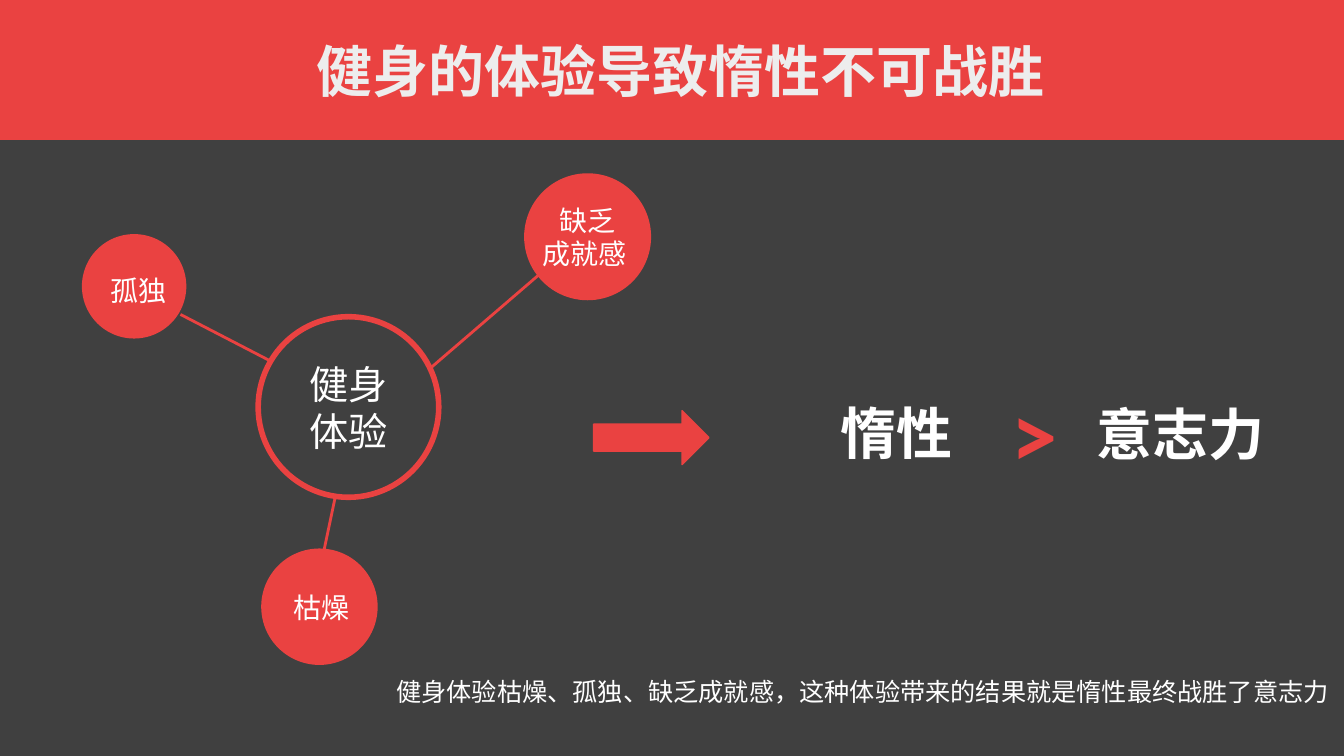
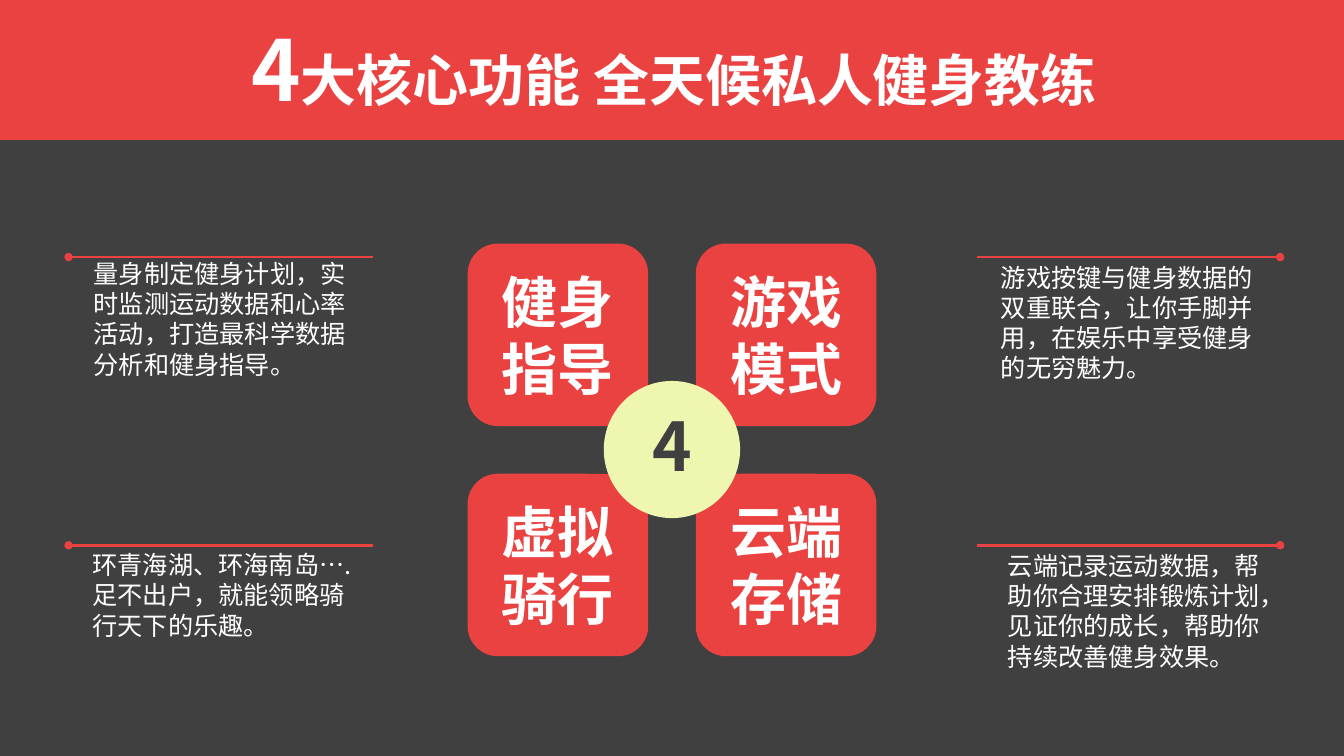
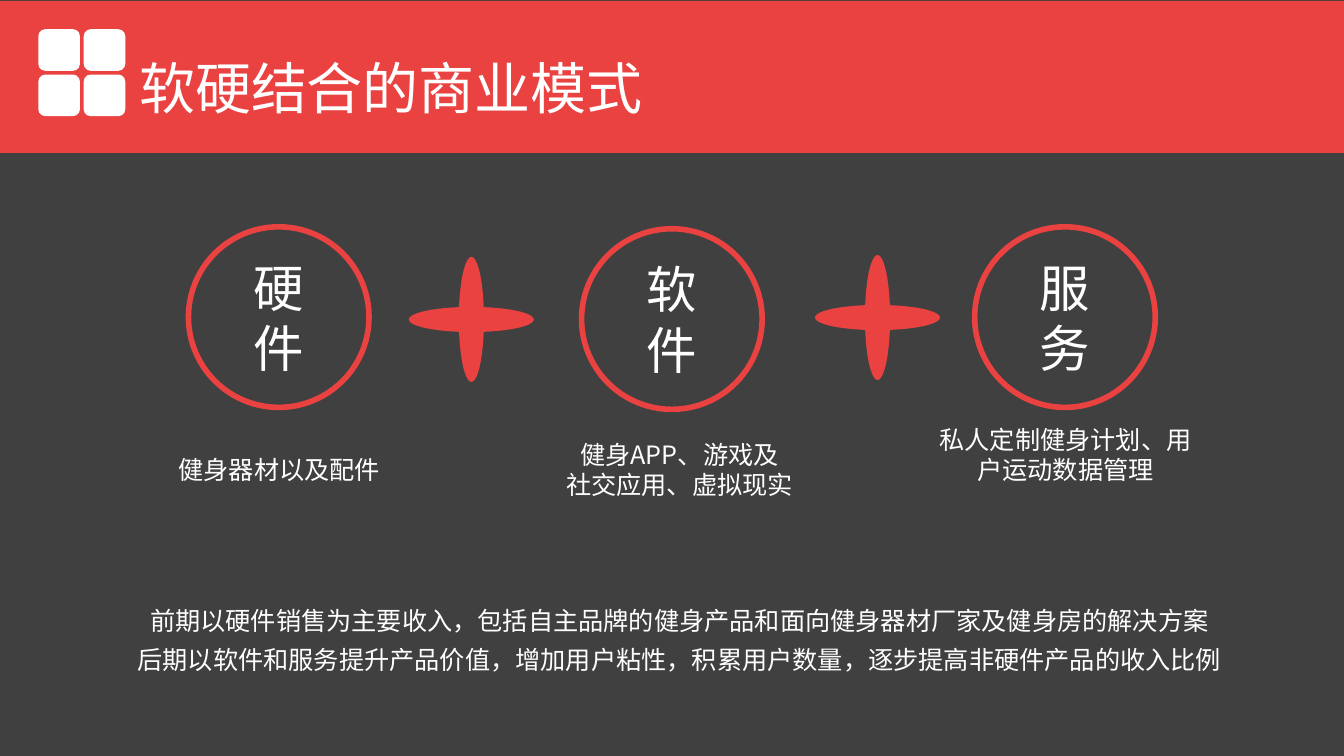
from lxml import etree
from pptx import Presentation
from pptx.dml.color import RGBColor
from pptx.enum.shapes import MSO_CONNECTOR, MSO_SHAPE
from pptx.enum.text import MSO_ANCHOR, MSO_AUTO_SIZE, PP_ALIGN
from pptx.oxml.ns import qn
from pptx.util import Pt

LEFT, CENTER = PP_ALIGN.LEFT, PP_ALIGN.CENTER
TOP, MIDDLE = MSO_ANCHOR.TOP, MSO_ANCHOR.MIDDLE
NO_AUTOFIT = MSO_AUTO_SIZE.NONE
STRAIGHT = MSO_CONNECTOR.STRAIGHT
RECTANGLE, ROUNDED = MSO_SHAPE.RECTANGLE, MSO_SHAPE.ROUNDED_RECTANGLE
OVAL, RIGHT_ARROW = MSO_SHAPE.OVAL, MSO_SHAPE.RIGHT_ARROW

# Shared style
RED, DARK, WHITE, PALE, LIME = "EA4241", "404040", "FFFFFF", "EDEDED", "EFF6B0"
FONT, SIGN_FONT = "Noto Sans CJK SC", "Calibri"
PAGE_WIDTH, PAGE_HEIGHT = 960, 540
TITLE_AREA = (72, 0.7, 828, 104.4)
BODY_INSETS, TITLE_INSETS, NO_INSETS = (7.2, 3.6, 7.2, 3.6), (9.4, 5, 9.4, 5), (0, 0, 0, 0)
RING_SIZE, RING_LINE = 129, 4

# Slide 1: the experience and its three flaws
EXPERIENCE = (184.4, 226.2, ["健身", "体验"])
FLAWS = [  # left, top, diameter, outline, lines, insets
    (60.5, 169.2, 70.6, RING_LINE, ["孤独"], (5.8, 5.8, 0, 0)),
    (188.6, 393.8, 79.2, RING_LINE, ["枯燥"], (3, 1.5, 0, 0)),
    (374.4, 123.8, 90.7, 0, ["缺乏", "成就感"], NO_INSETS),
]
SPOKES = [(306, 264.2, 403.9, 180), (128.9, 224.6, 194.4, 258.5), (227.5, 411.8, 239.8, 353.5)]
CONTEST = [  # area, text, size, colour, font, alignment
    ((593.3, 280.8, 122.4, 55.4), "惰性", 40, WHITE, FONT, LEFT),
    ((776.2, 282.2, 151.2, 55.4), "意志力", 40, WHITE, FONT, LEFT),
    ((705.6, 265, 66.2, 87.1), ">", 66, RED, SIGN_FONT, CENTER),
]
CONCLUSION = "健身体验枯燥、孤独、缺乏成就感，这种体验带来的结果就是惰性最终战胜了意志力"

# Slide 2: four functions, row by row
FUNCTIONS = [  # name, description, left and top of the description
    ("健身指导", "量身制定健身计划，实时监测运动数据和心率活动，打造最科学数据分析和健身指导。", 59.8, 181),
    ("游戏模式", "游戏按键与健身数据的双重联合，让你手脚并用，在娱乐中享受健身的无穷魅力。", 707.8, 183.6),
    ("虚拟骑行", "环青海湖、环海南岛….足不出户，就能领略骑行天下的乐趣。", 59, 389),
    ("云端存储", "云端记录运动数据，帮助你合理安排锻炼计划，见证你的成长，帮助你持续改善健身效果。", 712.8, 389.5),
]
TILE_WIDTH, TILE_HEIGHT = 129, 130.3
TILE_LEFTS, TILE_TOPS = (334, 497), (174, 338.4)
RULE_SPANS, RULE_TOPS = ((266.4, 49), (697.7, 914.4)), (183.6, 389.5)

# Slide 3: the three parts of the business
PARTS = [  # ring top, lines in the ring, description, its left and top
    (162, ["硬", "件"], ["健身器材以及配件"], 95.8, 321.1),
    (163.4, ["软", "件"], ["健身APP、游戏及", "社交应用、虚拟现实"], 381.6, 310.3),
    (162, ["服", "务"], ["私人定制健身计划、用户运动数据管理"], 657.4, 299.5),
]
RINGS_LEFT, RINGS_STEP = 134.6, 280.8
PLUS_CENTERS = [(336.7, 228.2), (626.8, 226.8)]
PLUS_LENGTH, PLUS_THICKNESS = 89.3, 18
PHASES = [
    "前期以硬件销售为主要收入，包括自主品牌的健身产品和面向健身器材厂家及健身房的解决方案",
    "后期以软件和服务提升产品价值，增加用户粘性，积累用户数量，逐步提高非硬件产品的收入比例",
]
ICON_LEFT, ICON_TOP, ICON_STEP, ICON_CELL = 27.4, 20.9, 32.4, 29.7


def color(value):
    return RGBColor.from_string(value)


def points(*values):
    return [Pt(value) for value in values]


def style_run(span, size, fill=WHITE, bold=False, font=FONT):
    span.font.size = Pt(size)
    span.font.bold = bold
    span.font.color.rgb = color(fill)
    span.font.name = font
    east_asian = etree.SubElement(span.font._element, qn("a:ea"))
    east_asian.set("typeface", font)


def set_frame(frame, insets, anchor):
    frame.word_wrap = True
    frame.auto_size = NO_AUTOFIT
    frame.vertical_anchor = anchor
    (frame.margin_left, frame.margin_top,
     frame.margin_right, frame.margin_bottom) = points(*insets)


def write(box, lines, size, align=LEFT, insets=BODY_INSETS, anchor=TOP, after=0, **style):
    frame = box.text_frame
    set_frame(frame, insets, anchor)
    frame.text = "\n".join(lines)
    for para in frame.paragraphs:
        para.alignment = align
        para.space_after = Pt(after)
        for span in para.runs:
            style_run(span, size, **style)
    return frame


def add_text(page, area, lines, size, **options):
    write(page.shapes.add_textbox(*points(*area)), lines, size, **options)


def add_shape(page, kind, area, fill=RED, line=0):
    shape = page.shapes.add_shape(kind, *points(*area))
    shape.shadow.inherit = False
    if fill:
        shape.fill.solid()
        shape.fill.fore_color.rgb = color(fill)
    else:
        shape.fill.background()
    if line:
        shape.line.color.rgb = color(RED)
        shape.line.width = Pt(line)
    else:
        shape.line.fill.background()
    return shape


def add_line(page, ends, width, tail=None):
    line = page.shapes.add_connector(STRAIGHT, *points(*ends))
    line.line.color.rgb = color(RED)
    line.line.width = Pt(width)
    properties = line._element.spPr
    if tail:
        etree.SubElement(properties.find(qn("a:ln")), qn("a:tailEnd")).set("type", tail)
    etree.SubElement(properties, qn("a:effectLst"))


def add_ring(page, left, top, lines, size):
    ring = add_shape(page, OVAL, (left, top, RING_SIZE, RING_SIZE), None, RING_LINE)
    write(ring, lines, size, align=CENTER, insets=NO_INSETS, anchor=MIDDLE)


def add_page(deck, runs, fill=WHITE, bold=True, band=(0, 100), area=TITLE_AREA,
             insets=TITLE_INSETS, anchor=MIDDLE, align=CENTER, spacing=0.9):
    """Add a page with its red band and a title made of (text, size) runs."""
    page = deck.slides.add_slide(deck.slide_layouts.get_by_name("Title Only"))
    title = page.shapes.title
    title.left, title.top, title.width, title.height = points(*area)
    set_frame(title.text_frame, insets, anchor)
    para = title.text_frame.paragraphs[0]
    para.alignment = align
    para.line_spacing = spacing
    for text, size in runs:
        span = para.add_run()
        span.text = text
        style_run(span, size, fill, bold)
    top, height = band
    strip = add_shape(page, RECTANGLE, (0, top, PAGE_WIDTH, height))
    title._element.addprevious(strip._element)
    return page


def build_experience(deck):
    page = add_page(deck, [("健身的体验导致惰性不可战胜", 40)], fill=PALE)
    add_ring(page, *EXPERIENCE, 28)
    for ends in SPOKES:
        add_line(page, ends, 2)
    for left, top, size, line, lines, insets in FLAWS:
        circle = add_shape(page, OVAL, (left, top, size, size), line=line)
        frame = write(circle, lines, 20, align=CENTER, insets=insets, anchor=MIDDLE)
        for para in frame.paragraphs[1:]:
            para.alignment = LEFT
    add_shape(page, RIGHT_ARROW, (424, 293.4, 82.4, 38.5), line=1)
    for area, text, size, fill, font, align in CONTEST:
        add_text(page, area, [text], size, align=align, fill=fill, font=font, bold=True)
    add_text(page, (276, 479.5, 684, 36), [CONCLUSION], 18, insets=(7.2, 3.6, 0, 3.6))


def build_functions(deck):
    page = add_page(deck, [("4", 60), ("大核心功能 全天候私人健身教练 ", 40)])
    for index, (name, description, left, top) in enumerate(FUNCTIONS):
        row, column = divmod(index, 2)
        tile = add_shape(page, ROUNDED,
                         (TILE_LEFTS[column], TILE_TOPS[row], TILE_WIDTH, TILE_HEIGHT))
        write(tile, [name], 40, align=CENTER, anchor=MIDDLE, bold=True)
        start, end = RULE_SPANS[column]
        add_line(page, (start, RULE_TOPS[row], end, RULE_TOPS[row]), 1.75, tail="oval")
        add_text(page, (left, top, 207, 94), [description], 18)
    hub = add_shape(page, OVAL, (431.3, 272.1, 97.4, 98), LIME)
    frame = write(hub, ["4"], 48, align=CENTER, insets=NO_INSETS, anchor=MIDDLE,
                  fill=DARK, bold=True)
    frame.paragraphs[0].line_spacing = 0.9


def build_business(deck):
    page = add_page(deck, [("软硬结合的商业模式", 40)], bold=False, band=(0.7, 108.5),
                    area=(92.2, 10.8, 786.2, 71.3), insets=BODY_INSETS, anchor=TOP,
                    align=LEFT, spacing=1.5)
    # Four-square icon
    for index in range(4):
        row, column = divmod(index, 2)
        add_shape(page, ROUNDED, (ICON_LEFT + column * ICON_STEP, ICON_TOP + row * ICON_STEP,
                                  ICON_CELL, ICON_CELL), WHITE)
    # Rings with descriptions
    for index, (ring_top, lines, description, left, top) in enumerate(PARTS):
        add_ring(page, RINGS_LEFT + index * RINGS_STEP, ring_top, lines, 36)
        add_text(page, (left, top, 207.4, 51), description, 18, align=CENTER)
    # Plus signs, each of two crossed ellipses
    for x, y in PLUS_CENTERS:
        for width, height in ((PLUS_THICKNESS, PLUS_LENGTH), (PLUS_LENGTH, PLUS_THICKNESS)):
            add_shape(page, OVAL, (x - width / 2, y - height / 2, width, height))
    add_text(page, (85.7, 429.1, 799.2, 57), PHASES, 18, align=CENTER, after=6)


def main():
    deck = Presentation()
    deck.slide_width, deck.slide_height = points(PAGE_WIDTH, PAGE_HEIGHT)
    backdrop = deck.slide_master.background.fill
    backdrop.solid()
    backdrop.fore_color.rgb = color(DARK)
    build_experience(deck)
    build_functions(deck)
    build_business(deck)
    deck.save("out.pptx")


if __name__ == "__main__":
    main()
